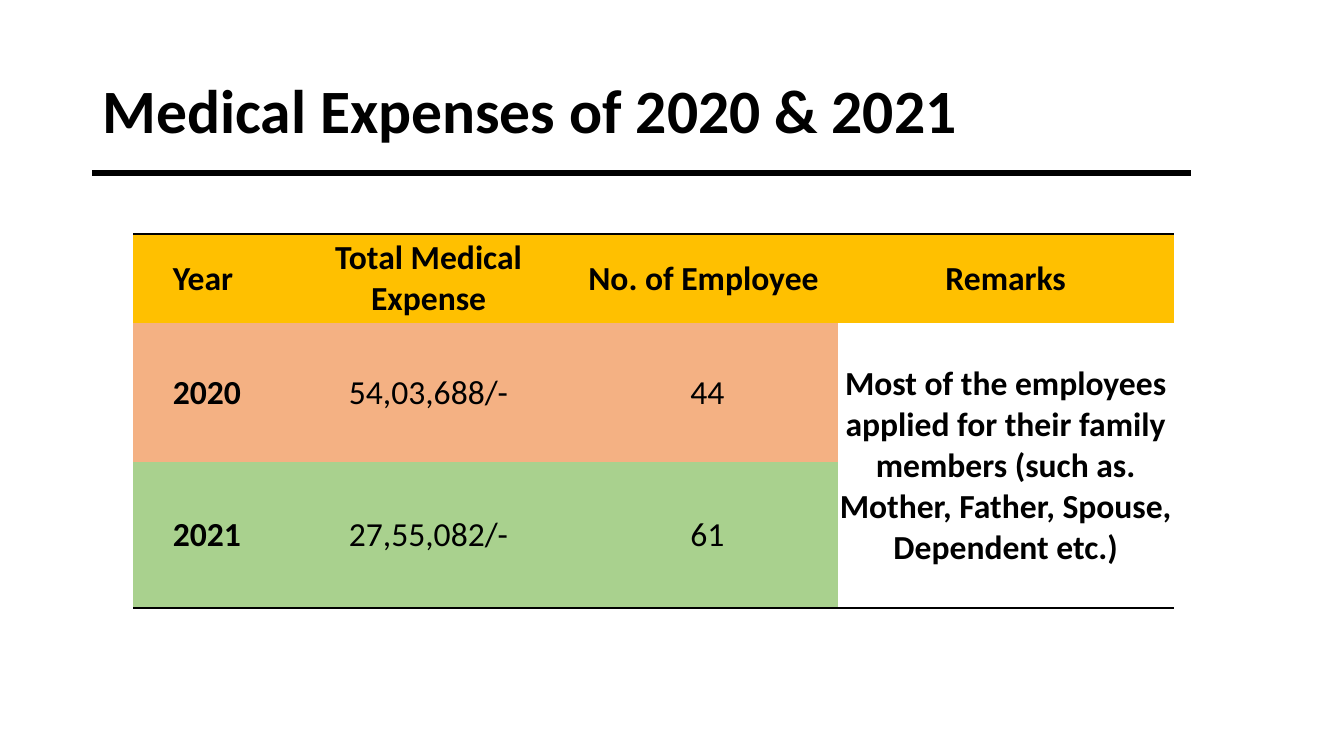
import pptx
import pptx.util
import pptx.oxml
import pptx.dml.color
import pptx.enum.text
import pptx.enum.shapes

Pt = pptx.util.Pt
RGBColor = pptx.dml.color.RGBColor
PP_ALIGN = pptx.enum.text.PP_ALIGN
MSO_ANCHOR = pptx.enum.text.MSO_ANCHOR

BLACK = RGBColor(0x00, 0x00, 0x00)
WHITE = RGBColor(0xFF, 0xFF, 0xFF)
GOLD = RGBColor(0xFF, 0xC0, 0x00)
ORANGE = RGBColor(0xF4, 0xB1, 0x83)
GREEN = RGBColor(0xA9, 0xD1, 0x8E)

NAMESPACE = 'xmlns:a="http://schemas.openxmlformats.org/drawingml/2006/main"'
NO_STYLE_NO_GRID = "{2D5ABB26-0587-4C30-8999-92F81FD0307C}"

HEADINGS = ["Year ", "Total Medical Expense", "No. of Employee ", "Remarks"]
REMARK = ("Most of the employees applied for their family members "
          "(such as. Mother, Father, Spouse, Dependent etc.)")
EXPENSES = [
    HEADINGS,
    ["2020", "54,03,688/-", "44", REMARK],
    ["2021", "27,55,082/-", "61", ""],
]
ROW_FILLS = [GOLD, ORANGE, GREEN]
COLUMN_WIDTHS = [105.1, 211.7, 186.5, 239.8]
ROW_HEIGHTS = [63.4, 99.4, 104.4]


class SlideBuilder:
    """Holds the text style and the current slide, and adds elements to it."""

    def __init__(self, slide, font="Calibri", color=BLACK):
        self.slide = slide
        self.font = font
        self.color = color

    def format_runs(self, paragraph, size, bold):
        for run in paragraph.runs:
            run.font.name = self.font
            run.font.size = Pt(size)
            run.font.bold = bold
            run.font.color.rgb = self.color

    def title(self, text, left, top, width, height, size):
        shape = self.slide.shapes.title
        shape.left, shape.top = Pt(left), Pt(top)
        shape.width, shape.height = Pt(width), Pt(height)
        text_frame = shape.text_frame
        text_frame.text = text
        text_frame.word_wrap = True
        text_frame.auto_size = pptx.enum.text.MSO_AUTO_SIZE.NONE
        text_frame.vertical_anchor = MSO_ANCHOR.MIDDLE
        paragraph = text_frame.paragraphs[0]
        paragraph.alignment = PP_ALIGN.LEFT
        paragraph.line_spacing = 0.9
        self.format_runs(paragraph, size, True)

    def rule(self, left, right, y, weight):
        connector = self.slide.shapes.add_connector(
            pptx.enum.shapes.MSO_CONNECTOR.STRAIGHT, Pt(left), Pt(y), Pt(right), Pt(y))
        connector.line.color.rgb = self.color
        connector.line.width = Pt(weight)
        connector._element.spPr.append(
            pptx.oxml.parse_xml(f"<a:effectLst {NAMESPACE}/>"))

    def table(self, left, top, column_widths, row_heights):
        frame = self.slide.shapes.add_table(
            len(row_heights), len(column_widths), Pt(left), Pt(top),
            Pt(sum(column_widths)), Pt(sum(row_heights)))
        table = frame.table
        table._tbl.tblPr[0].text = NO_STYLE_NO_GRID
        table.horz_banding = False
        for column, width in zip(table.columns, column_widths):
            column.width = Pt(width)
        for row, height in zip(table.rows, row_heights):
            row.height = Pt(height)
        return table

    def cell(self, cell, text, fill, size, bold):
        cell.text_frame.text = text
        cell.vertical_anchor = MSO_ANCHOR.MIDDLE
        cell.margin_left = cell.margin_right = cell.margin_top = Pt(0.75)
        cell.margin_bottom = Pt(0)
        cell.fill.solid()
        cell.fill.fore_color.rgb = fill
        paragraph = cell.text_frame.paragraphs[0]
        paragraph.alignment = PP_ALIGN.CENTER
        self.format_runs(paragraph, size, bold)

    def cell_border(self, cell, side, weight):
        border = pptx.oxml.parse_xml(
            f'<a:ln{side} {NAMESPACE} w="{Pt(weight)}"><a:solidFill>'
            f'<a:srgbClr val="{self.color}"/></a:solidFill></a:ln{side}>')
        cell._tc.get_or_add_tcPr().insert(0, border)


def main():
    presentation = pptx.Presentation()
    presentation.slide_width = Pt(960)
    presentation.slide_height = Pt(540)
    builder = SlideBuilder(presentation.slides.add_slide(presentation.slide_layouts[5]))

    builder.title("Medical Expenses of 2020 & 2021", 66, 28.8, 828, 104.4, 44)
    builder.rule(66, 851, 123.4, 4.5)

    table = builder.table(95.2, 167.2, COLUMN_WIDTHS, ROW_HEIGHTS)
    last_row, remarks = len(EXPENSES) - 1, len(HEADINGS) - 1
    for row, texts in enumerate(EXPENSES):
        for column, text in enumerate(texts):
            fill = WHITE if row > 0 and column == remarks else ROW_FILLS[row]
            bold = row == 0 or column in (0, remarks)
            builder.cell(table.cell(row, column), text, fill, 24, bold)
    table.cell(1, remarks).merge(table.cell(last_row, remarks))
    for column in range(len(HEADINGS)):
        builder.cell_border(table.cell(0, column), "T", 2)
        builder.cell_border(table.cell(last_row, column), "B", 2)
    builder.cell_border(table.cell(1, remarks), "B", 2)

    presentation.save("out.pptx")


if __name__ == "__main__":
    main()
